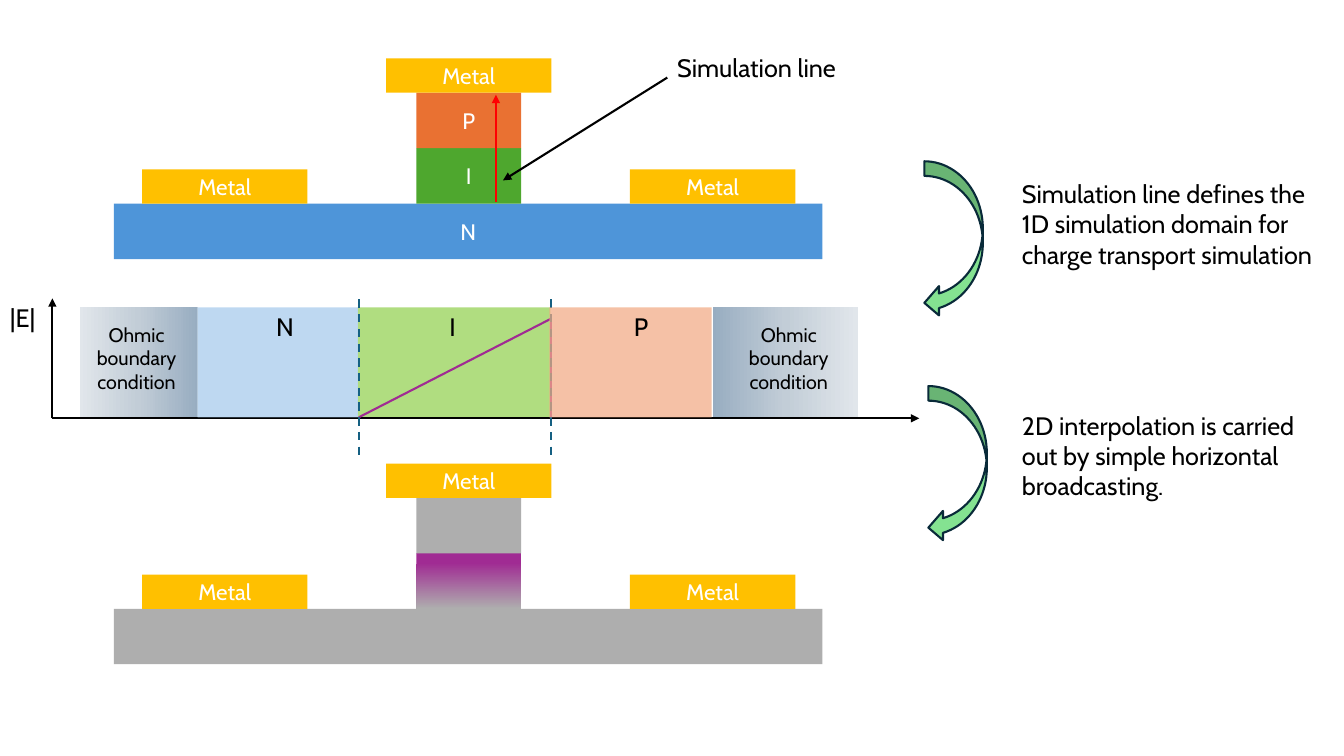
from lxml.etree import SubElement
from pptx import Presentation
from pptx.dml.color import RGBColor
from pptx.enum.dml import MSO_LINE
from pptx.enum.shapes import MSO_CONNECTOR, MSO_SHAPE
from pptx.enum.text import MSO_ANCHOR, MSO_AUTO_SIZE, PP_ALIGN
from pptx.oxml import parse_xml
from pptx.oxml.ns import nsdecls, qn
from pptx.util import Inches, Pt

# The grid has cells of a tenth of an inch: 133.3 columns by 75 rows.
CELL = Inches(0.1)
FONT = "Cabin"
BLACK, WHITE, GREY = "000000", "FFFFFF", "AEAEAE"
GOLD, PURPLE, TEAL, RED = "FFC000", "A02B93", "156082", "FF0000"
OHMIC_STOPS = [(0, "98ADC1"), (50, "C2CDD7"), (100, "E1E6EB")]
FIELD_STOPS = [(17, PURPLE), (100, GREY)]
LAYER = 5.5
METAL_HEIGHT = 3.4
PLOT_TOP, PLOT_HEIGHT, AXIS_ROW = 30.5, 10.9, 41.5


def color(code):
    return RGBColor.from_string(code)


def cells(*lengths):
    return [round(length * CELL) for length in lengths]


def write(shape, text, size=18, ink=BLACK, align=PP_ALIGN.LEFT, anchor=MSO_ANCHOR.TOP):
    frame = shape.text_frame
    frame.word_wrap = True
    frame.vertical_anchor = anchor
    para = frame.paragraphs[0]
    para.alignment = align
    span = para.add_run()
    span.text = text
    span.font.name = FONT
    span.font.size = Pt(size)
    span.font.color.rgb = color(ink)


def label(page, text, left, top, width, height, **style):
    box = page.shapes.add_textbox(*cells(left, top, width, height))
    write(box, text, **style)
    box.text_frame.auto_size = MSO_AUTO_SIZE.SHAPE_TO_FIT_TEXT


def block(shapes, fill, left, top, width, height, text="", opacity=100,
          preset=MSO_SHAPE.RECTANGLE, outline=None):
    shape = shapes.add_shape(preset, *cells(left, top, width, height))
    shape.shadow.inherit = False
    shape.fill.solid()
    shape.fill.fore_color.rgb = color(fill)
    if opacity < 100:
        tint = shape.fill._xPr.find(qn("a:solidFill"))[0]
        SubElement(tint, qn("a:alpha")).set("val", str(opacity * 1000))
    if outline:
        shape.line.color.rgb = color(outline)
        shape.line.width = Pt(1.5)
    else:
        shape.line.fill.background()
    if text:
        write(shape, text, size=16, ink=WHITE, align=PP_ALIGN.CENTER,
              anchor=MSO_ANCHOR.MIDDLE)
    return shape


def shade(shape, stops, angle):
    """Swap the plain fill for a linear gradient, with the angle clockwise."""
    marks = "".join(
        f'<a:gs pos="{share * 1000}"><a:srgbClr val="{code}"/></a:gs>'
        for share, code in stops)
    gradient = parse_xml(
        f'<a:gradFill {nsdecls("a")} rotWithShape="1"><a:gsLst>{marks}</a:gsLst>'
        f'<a:lin ang="{angle * 60000}" scaled="0"/></a:gradFill>')
    properties = shape.fill._xPr
    properties.replace(properties.find(qn("a:solidFill")), gradient)


def line(page, start, end, ink=BLACK, arrow=False, dashed=False):
    connector = page.shapes.add_connector(
        MSO_CONNECTOR.STRAIGHT, *cells(*start, *end))
    connector.line.color.rgb = color(ink)
    connector.line.width = Pt(1.5)
    if dashed:
        connector.line.dash_style = MSO_LINE.DASH
    if arrow:
        SubElement(connector.line._get_or_add_ln(), qn("a:tailEnd")).set("type", "triangle")
    SubElement(connector._element.spPr, qn("a:effectLst"))


def device(shapes, base_top, layers):
    """Stack the N, I and P layers upwards and add three metal contacts."""
    spans = [(11.3, 70.3), (41.3, 10.4), (41.3, 10.4)]
    stack = []
    for level, ((left, width), (fill, text)) in enumerate(zip(spans, layers)):
        top = base_top - level * LAYER
        stack.append(block(shapes, fill, left, top, width, LAYER, text))
    mesa_top = base_top - 2 * LAYER
    for left, seat in [(38.3, mesa_top), (14.1, base_top), (62.5, base_top)]:
        block(shapes, GOLD, left, seat - METAL_HEIGHT, 16.4, METAL_HEIGHT, "Metal")
    return stack


def field_plot(page):
    origin = (5.2, AXIS_ROW)
    line(page, origin, (91.2, AXIS_ROW), arrow=True)
    line(page, origin, (5.2, 29.6), arrow=True)
    for left, width, angle in [(7.9, 11.7, 180), (70.7, 14.4, 0)]:
        shade(block(page.shapes, WHITE, left, PLOT_TOP, width, PLOT_HEIGHT),
              OHMIC_STOPS, angle)
    label(page, "|E|", 0, 29.5, 5.8, 4)

    peak = (54.7, 31.6)
    for foot in (35.6, 54.7):
        line(page, (foot, 41.4), peak, ink=PURPLE)
    for edge in (35.6, 54.7):
        line(page, (edge, 29.7), (edge, 45.3), ink=TEAL, dashed=True)
    for fill, left, width in [("A6CAEC", 19.6, 15.9), ("F2AA84", 54.5, 16.1)]:
        block(page.shapes, fill, left, PLOT_TOP, width, PLOT_HEIGHT, opacity=72)
    for name, left in [("N", 26.4), ("I", 43.6), ("P", 61.9)]:
        label(page, name, left, 30.4, 11.3, 4)
    for left in (71.5, 6.8):
        label(page, "Ohmic boundary condition", left, 31.5, 13.5, 8.1,
              size=14, align=PP_ALIGN.CENTER)


def main():
    deck = Presentation()
    deck.slide_width, deck.slide_height = cells(133.33, 75)
    page = deck.slides.add_slide(deck.slide_layouts[6])

    block(page.shapes, "92D050", 35.5, PLOT_TOP, 19.1, PLOT_HEIGHT, opacity=72)
    device(page.shapes.add_group_shape().shapes, 20.2,
           [("4E95D9", "N"), ("4EA72E", "I"), ("E97132", "P")])
    field_plot(page)
    stack = device(page.shapes, 60.4, [(GREY, "")] * 3)
    shade(stack[1], FIELD_STOPS, 90)

    for left, top in [(91.7, 16), (92.1, 38.3)]:
        block(page.shapes, "84E291", left, top, 5.8, 15.5,
              preset=MSO_SHAPE.CURVED_LEFT_ARROW, outline="092A39")
    label(page, "Simulation line defines the 1D simulation domain for "
          "charge transport simulation", 100.4, 17.2, 31.4, 13.1)
    label(page, "2D interpolation is carried out by simple horizontal "
          "broadcasting.", 100.4, 40.2, 31.4, 10.1)

    line(page, (49.2, 20), (49.2, 9.4), ink=RED, arrow=True)
    line(page, (66.2, 7.7), (49.9, 17.9), arrow=True)
    label(page, "Simulation line", 66.2, 4.7, 21.8, 4)

    deck.save("out.pptx")


if __name__ == "__main__":
    main()
